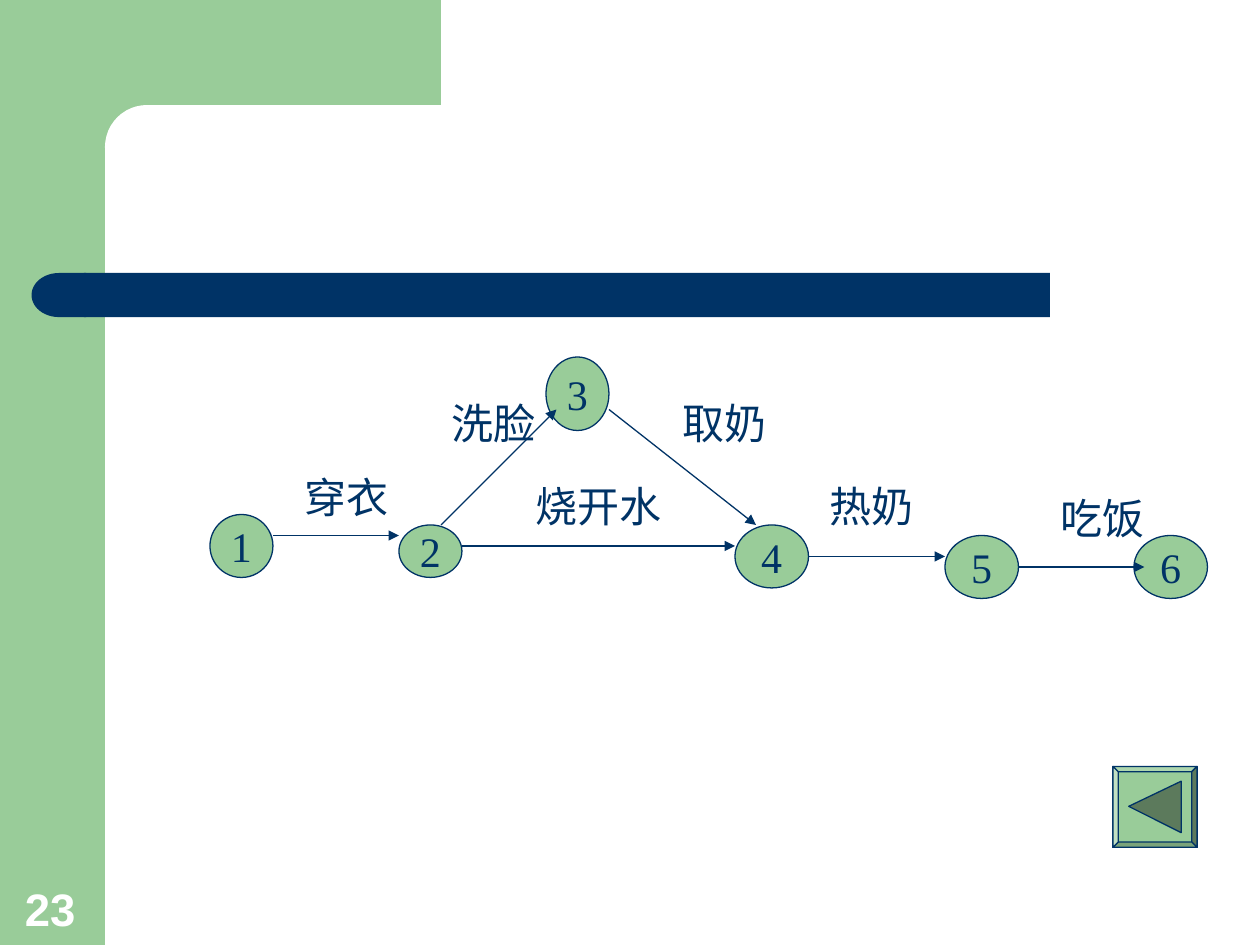
from typing import NamedTuple

from lxml.etree import SubElement
from pptx import Presentation
from pptx.dml.color import RGBColor
from pptx.enum.shapes import MSO_CONNECTOR, MSO_SHAPE
from pptx.enum.text import MSO_ANCHOR, PP_ALIGN
from pptx.oxml.ns import qn
from pptx.util import Emu, Pt

PX = 7620  # 120 px to the inch
GREEN, NAVY, WHITE = "99CC99", "003366", "FFFFFF"


class Box(NamedTuple):
    x: int
    y: int
    w: int
    h: int


class Node(NamedTuple):
    number: str
    box: Box


class Arrow(NamedTuple):
    x1: int
    y1: int
    x2: int
    y2: int


class Label(NamedTuple):
    text: str
    box: Box


class Facet(NamedTuple):
    color: str
    points: list[tuple[int, int]]


NODES = [
    Node("1", Box(200, 490, 60, 60)),
    Node("2", Box(380, 500, 60, 50)),
    Node("4", Box(700, 500, 70, 60)),
    Node("3", Box(520, 340, 60, 70)),
    Node("5", Box(900, 510, 70, 60)),
    Node("6", Box(1080, 510, 70, 60)),
]
ARROWS = [
    Arrow(260, 510, 380, 510),
    Arrow(440, 520, 700, 520),
    Arrow(770, 530, 900, 530),
    Arrow(970, 540, 1090, 540),
    Arrow(420, 500, 530, 390),
    Arrow(580, 390, 720, 500),
]
LABELS = [
    Label("穿衣", Box(278, 443, 108, 60)),
    Label("烧开水", Box(498, 452, 148, 60)),
    Label("热奶", Box(778, 452, 108, 60)),
    Label("吃饭", Box(998, 463, 108, 60)),
    Label("洗脸", Box(418, 373, 108, 60)),
    Label("取奶", Box(638, 373, 108, 60)),
]


def rgb(color: str) -> RGBColor:
    return RGBColor.from_string(color)


def emu(box: Box) -> list[Emu]:
    return [Emu(v * PX) for v in box]


def paint(sp, fill: str, line: str | None = None) -> None:
    sp.shadow.inherit = False
    sp.fill.solid()
    sp.fill.fore_color.rgb = rgb(fill)
    if line:
        sp.line.color.rgb = rgb(line)
        sp.line.width = Pt(0.75)
    else:
        sp.line.fill.background()


def add_shape(s, kind: MSO_SHAPE, box: Box, fill: str, line: str | None = None):
    sp = s.shapes.add_shape(kind, *emu(box))
    paint(sp, fill, line)
    return sp


def write(sp, text: str, size: int, color: str, font: str = "Times New Roman",
          bold: bool = False, wrap: bool = True, align: PP_ALIGN = PP_ALIGN.LEFT,
          anchor: MSO_ANCHOR = MSO_ANCHOR.TOP) -> None:
    tf = sp.text_frame
    tf.word_wrap = wrap
    tf.vertical_anchor = anchor
    p = tf.paragraphs[0]
    p.text = text
    p.alignment = align
    p.font.size = Pt(size)
    p.font.name = font
    p.font.bold = bold
    p.font.color.rgb = rgb(color)


def add_frame(s) -> None:
    add_shape(s, MSO_SHAPE.RECTANGLE, Box(0, 0, 100, 900), GREEN)
    add_shape(s, MSO_SHAPE.RECTANGLE, Box(90, 0, 330, 140), GREEN)
    corner = add_shape(s, MSO_SHAPE.ROUNDED_RECTANGLE, Box(100, 100, 670, 80), WHITE)
    corner.adjustments[0] = 0.5
    add_shape(s, MSO_SHAPE.RECTANGLE, Box(80, 260, 920, 42), NAVY)
    cap = add_shape(s, MSO_SHAPE.FLOWCHART_DELAY, Box(30, 260, 52, 42), NAVY)
    cap.rotation = 180


def add_node(s, node: Node) -> None:
    sp = add_shape(s, MSO_SHAPE.OVAL, node.box, GREEN, NAVY)
    write(sp, node.number, 24, NAVY, wrap=False,
          align=PP_ALIGN.CENTER, anchor=MSO_ANCHOR.MIDDLE)


def add_arrow(s, arrow: Arrow) -> None:
    c = s.shapes.add_connector(MSO_CONNECTOR.STRAIGHT, *(Emu(v * PX) for v in arrow))
    c.line.color.rgb = rgb(NAVY)
    c.line.width = Pt(0.75)
    SubElement(c.line._get_or_add_ln(), qn("a:tailEnd"), type="triangle")
    SubElement(c._element.spPr, qn("a:effectLst"))


def add_label(s, label: Label) -> None:
    write(s.shapes.add_textbox(*emu(label.box)), label.text, 24, NAVY)


def add_back_button(s, box: Box, rim: int) -> None:
    """Draw a bevelled button with a triangle pointing left."""
    x, y, w, h = box
    r, b = x + w, y + h
    outer = [(x, y), (r, y), (r, b), (x, b)]
    inner = [(x + rim, y + rim), (r - rim, y + rim), (r - rim, b - rim), (x + rim, b - rim)]
    facets = [Facet(GREEN, outer)]
    for i, color in enumerate(["ADD6AD", "5C7A5C", "7AA37A", "C2E0C2"]):
        j = (i + 1) % 4
        facets.append(Facet(color, [outer[i], outer[j], inner[j], inner[i]]))
    facets.append(Facet("5C7A5C", [(x + 15, y + 38), (x + 65, y + 14), (x + 65, y + 63)]))
    for facet in facets:
        start, *rest = facet.points
        builder = s.shapes.build_freeform(*start, scale=PX)
        builder.add_line_segments(rest, close=True)
        paint(builder.convert_to_shape(), facet.color, NAVY)


def main() -> None:
    prs = Presentation()
    prs.slide_width, prs.slide_height = Emu(1200 * PX), Emu(900 * PX)
    s = prs.slides.add_slide(prs.slide_layouts[6])
    add_frame(s)
    for node in NODES:
        add_node(s, node)
    for arrow in ARROWS:
        add_arrow(s, arrow)
    for label in LABELS:
        add_label(s, label)
    add_back_button(s, Box(1060, 730, 80, 77), 5)
    page = s.shapes.add_textbox(*emu(Box(12, 832, 77, 65)))
    write(page, "23", 26, WHITE, font="Arial", bold=True, anchor=MSO_ANCHOR.BOTTOM)
    prs.save("out.pptx")


if __name__ == "__main__":
    main()
